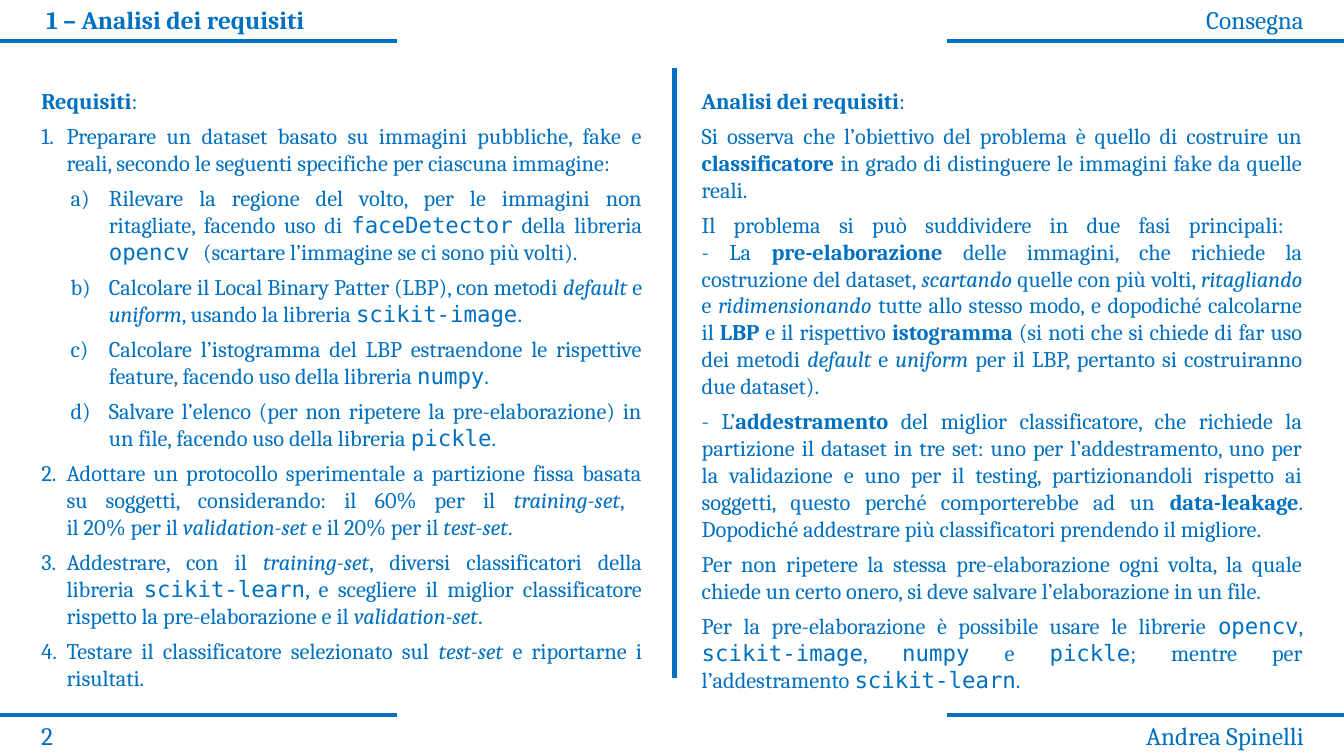
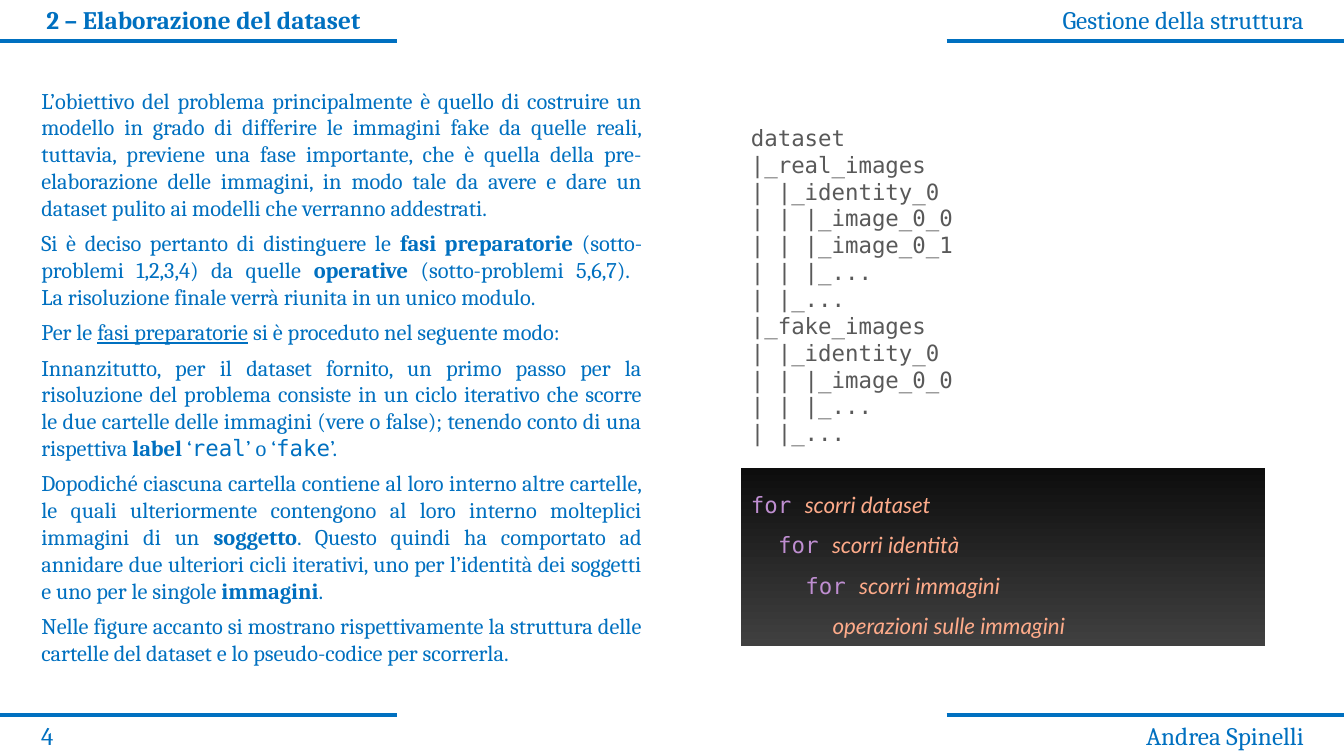
from dataclasses import dataclass, field

from lxml import etree
from pptx import Presentation
from pptx import util as u
from pptx.dml.color import RGBColor
from pptx.enum import shapes, text
from pptx.oxml import ns

EMU_PER_PX = 9144
SLIDE_WIDTH, SLIDE_HEIGHT = 1333, 750
MARGIN, COLUMN_WIDTH, RIGHT_COLUMN = 31, 616, 686
BAND_WIDTH, BAND_LINES = 394, (41, 709)
HEADER_TOP, FOOTER_TOP, LABEL_HEIGHT = -1, 710, 40
BODY_TOP, BODY_HEIGHT = 81, 616
FIGURE_LEFT, FIGURE_WIDTH, FIGURE_INSET = 735, 520, 10
CODE_INDENT = 27


@dataclass(frozen=True)
class Theme:
    """Colours, fonts, type sizes and inline text styles."""
    blue: str = "0070C0"
    grey: str = "595959"
    panel: tuple = ("0D0D0D", "404040")
    serif: str = "Cambria"
    mono: str = "DejaVu Sans Mono"
    label_size: int = 18
    body_size: int = 16
    line_width: int = 3
    space_after: int = 6
    marks: dict = field(default_factory=lambda: {
        "*": {"bold": True},
        "^": {"italic": True},
        "~": {"underline": True},
        "`": {"name": "DejaVu Sans Mono"},
        "@": {"name": "DejaVu Sans Mono", "color": "BF8ED1"},
        "#": {"name": "Lato", "color": "FEAB8A", "italic": True},
    })
    numbering: dict = field(default_factory=lambda: {
        "1": (0, 25, 25, "arabicPeriod"),
        "a": (1, 67, 38, "alphaLcParenR"),
    })


def px(length):
    """Turn px into EMU."""
    return u.Emu(length * EMU_PER_PX)


def pieces(markup, marks):
    """Split marked text into (words, mark) pairs."""
    words, mark = "", ""
    for letter in markup:
        if letter in marks:
            if words:
                yield words, mark
            words, mark = "", "" if mark == letter else letter
        else:
            words += letter
    if words:
        yield words, mark


class Deck:
    """Holds the theme and the current slide, and draws each kind of element."""

    def __init__(self, theme):
        self.theme = theme
        self.presentation = Presentation()
        self.presentation.slide_width = px(SLIDE_WIDTH)
        self.presentation.slide_height = px(SLIDE_HEIGHT)
        self.slide = None

    def new_slide(self, layout, title, topic, number):
        layouts = self.presentation.slide_layouts
        self.slide = self.presentation.slides.add_slide(layouts.get_by_name(layout))
        right_band = SLIDE_WIDTH - BAND_WIDTH
        for y in BAND_LINES:
            self.line(0, y, BAND_WIDTH, y)
            self.line(right_band, y, SLIDE_WIDTH, y)
        self.title(title)
        right_label = RIGHT_COLUMN + COLUMN_WIDTH - BAND_WIDTH + 1
        self.label(topic, right_label, HEADER_TOP, text.PP_ALIGN.RIGHT)
        self.label(number, MARGIN, FOOTER_TOP, text.PP_ALIGN.LEFT)
        self.label("Andrea Spinelli", right_label, FOOTER_TOP, text.PP_ALIGN.RIGHT)

    def line(self, x1, y1, x2, y2):
        line = self.slide.shapes.add_connector(
            shapes.MSO_CONNECTOR.STRAIGHT, px(x1), px(y1), px(x2), px(y2))
        line.line.color.rgb = RGBColor.from_string(self.theme.blue)
        line.line.width = u.Pt(self.theme.line_width)
        etree.SubElement(line._element.spPr, ns.qn("a:effectLst"))

    def place(self, shape, left, top, width, height):
        shape.left, shape.top = px(left), px(top)
        shape.width, shape.height = px(width), px(height)
        frame = shape.text_frame
        frame.word_wrap = True
        frame.auto_size = text.MSO_AUTO_SIZE.NONE
        frame.vertical_anchor = text.MSO_ANCHOR.TOP
        return frame

    def text_box(self, left, top, width, height):
        shape = self.slide.shapes.add_textbox(0, 0, 0, 0)
        return self.place(shape, left, top, width, height)

    def style(self, run, size, name=None, color=None, bold=False, italic=False,
              underline=False):
        font = run.font
        font.size = u.Pt(size)
        font.name = name or self.theme.serif
        font.color.rgb = RGBColor.from_string(color or self.theme.blue)
        font.bold, font.italic, font.underline = bold, italic, underline

    def plain(self, frame, words, size, align=text.PP_ALIGN.LEFT, **look):
        frame.text = words
        for paragraph in frame.paragraphs:
            paragraph.alignment = align
            for run in paragraph.runs:
                self.style(run, size, **look)

    def title(self, words):
        frame = self.place(self.slide.shapes.title, MARGIN + 5, HEADER_TOP,
                           BAND_WIDTH, LABEL_HEIGHT)
        self.plain(frame, words, self.theme.label_size, bold=True)

    def label(self, words, left, top, align):
        frame = self.text_box(left, top, BAND_WIDTH, LABEL_HEIGHT)
        self.plain(frame, words, self.theme.label_size, align)

    def rich(self, paragraph, markup):
        size = self.theme.body_size
        for index, row in enumerate(markup.split("\n")):
            if index:
                paragraph.add_line_break()
            for words, mark in pieces(row, self.theme.marks):
                run = paragraph.add_run()
                run.text = words
                self.style(run, size, **self.theme.marks.get(mark, {}))
        for line_break in paragraph._p.findall(ns.qn("a:br")):
            etree.SubElement(line_break, ns.qn("a:rPr"), sz=str(size * 100))

    def indent(self, paragraph, left, hanging=0):
        properties = paragraph._p.get_or_add_pPr()
        properties.set("marL", str(px(left)))
        properties.set("indent", str(px(-hanging)))
        return properties

    def rows(self, frame, count):
        for _ in range(count - 1):
            frame.add_paragraph()
        return frame.paragraphs

    def body(self, index, left, items):
        frame = self.place(self.slide.placeholders[index], left, BODY_TOP,
                           COLUMN_WIDTH, BODY_HEIGHT)
        for paragraph, (kind, markup) in zip(self.rows(frame, len(items)), items):
            level, margin, hanging, scheme = self.theme.numbering.get(kind, (0, 0, 0, None))
            paragraph.alignment = text.PP_ALIGN.JUSTIFY
            paragraph.level = level
            paragraph.space_before = u.Pt(0)
            paragraph.space_after = u.Pt(self.theme.space_after)
            properties = self.indent(paragraph, margin, hanging)
            if scheme:
                etree.SubElement(properties, ns.qn("a:buFont"), typeface=self.theme.serif)
                etree.SubElement(properties, ns.qn("a:buAutoNum"), type=scheme)
            else:
                etree.SubElement(properties, ns.qn("a:buNone"))
            self.rich(paragraph, markup)

    def inset(self, frame):
        frame.margin_left = frame.margin_right = px(FIGURE_INSET)
        frame.margin_top = frame.margin_bottom = px(FIGURE_INSET)

    def tree(self, top, height, words):
        frame = self.text_box(FIGURE_LEFT, top, FIGURE_WIDTH, height)
        self.inset(frame)
        self.plain(frame, words, self.theme.body_size, name=self.theme.mono,
                   color=self.theme.grey)

    def code_panel(self, top, height, lines):
        panel = self.slide.shapes.add_shape(shapes.MSO_SHAPE.RECTANGLE, 0, 0, 0, 0)
        panel.shadow.inherit = False
        panel.line.fill.background()
        panel.fill.gradient()
        panel.fill.gradient_angle = 270
        for stop, color in zip(panel.fill.gradient_stops, self.theme.panel):
            stop.color.rgb = RGBColor.from_string(color)
        frame = self.place(panel, FIGURE_LEFT, top, FIGURE_WIDTH, height)
        self.inset(frame)
        for depth, paragraph in enumerate(self.rows(frame, len(lines))):
            paragraph.alignment = text.PP_ALIGN.LEFT
            paragraph.line_spacing = 1.5
            self.indent(paragraph, depth * CODE_INDENT)
            self.rich(paragraph, lines[depth])


REQUIREMENTS = [
    ("", "*Requisiti*:"),
    ("1", "Preparare un dataset basato su immagini pubbliche, fake e reali, secondo le "
          "seguenti specifiche per ciascuna immagine:"),
    ("a", "Rilevare la regione del volto, per le immagini non ritagliate, facendo uso di "
          "`faceDetector` della libreria `opencv `(scartare l’immagine se ci sono più volti)."),
    ("a", "Calcolare il Local Binary Patter (LBP), con metodi ^default^ e ^uniform^, usando "
          "la libreria `scikit-image`."),
    ("a", "Calcolare l’istogramma del LBP estraendone le rispettive feature, facendo uso "
          "della libreria `numpy`."),
    ("a", "Salvare l’elenco (per non ripetere la pre-elaborazione) in un file, facendo uso "
          "della libreria `pickle`."),
    ("1", "Adottare un protocollo sperimentale a partizione fissa basata su soggetti, "
          "considerando: il 60% per il ^training-set^, \nil 20% per il ^validation-set ^e "
          "il 20% per il ^test-set^."),
    ("1", "Addestrare, con il ^training-set^, diversi classificatori della libreria "
          "`scikit-learn`, e scegliere il miglior classificatore rispetto la "
          "pre-elaborazione e il ^validation-set^."),
    ("1", "Testare il classificatore selezionato sul ^test-set ^e riportarne i risultati."),
]

ANALYSIS = [
    ("", "*Analisi dei requisiti*:"),
    ("", "Si osserva che l’obiettivo del problema è quello di costruire un *classificatore* "
         "in grado di distinguere le immagini fake da quelle reali."),
    ("", "Il problema si può suddividere in due fasi principali: \n- La *pre-elaborazione* "
         "delle immagini, che richiede la costruzione del dataset, ^scartando^ quelle con "
         "più volti, ^ritagliando^ e ^ridimensionando^ tutte allo stesso modo, e dopodiché "
         "calcolarne il *LBP* e il rispettivo *istogramma* (si noti che si chiede di far uso "
         "dei metodi ^default^ e ^uniform^ per il LBP, pertanto si costruiranno due dataset)."),
    ("", "- L’*addestramento* del miglior classificatore, che richiede la partizione il "
         "dataset in tre set: uno per l’addestramento, uno per la validazione e uno per il "
         "testing, partizionandoli rispetto ai soggetti, questo perché comporterebbe ad un "
         "*data-leakage*. Dopodiché addestrare più classificatori prendendo il migliore."),
    ("", "Per non ripetere la stessa pre-elaborazione ogni volta, la quale chiede un certo "
         "onero, si deve salvare l’elaborazione in un file."),
    ("", "Per la pre-elaborazione è possibile usare le librerie `opencv`, `scikit-image`, "
         "`numpy` e `pickle`; mentre per l’addestramento `scikit-learn`."),
]

PROCESSING = [
    ("", "L’obiettivo del problema principalmente è quello di costruire un modello in grado "
         "di differire le immagini fake da quelle reali, tuttavia, previene una fase "
         "importante, che è quella della pre-elaborazione delle immagini, in modo tale da "
         "avere e dare un dataset pulito ai modelli che verranno addestrati."),
    ("", "Si è deciso pertanto di distinguere le *fasi preparatorie *(sotto-problemi 1,2,3,4) "
         "da quelle *operative* (sotto-problemi 5,6,7). \nLa risoluzione finale verrà riunita "
         "in un unico modulo."),
    ("", "Per le ~fasi preparatorie~ si è proceduto nel seguente modo:"),
    ("", "Innanzitutto, per il dataset fornito, un primo passo per la risoluzione del "
         "problema consiste in un ciclo iterativo che scorre le due cartelle delle immagini "
         "(vere o false); tenendo conto di una rispettiva *label* ‘`real`’ o ‘`fake`’."),
    ("", "Dopodiché ciascuna cartella contiene al loro interno altre cartelle, le quali "
         "ulteriormente contengono al loro interno molteplici immagini di un *soggetto*. "
         "Questo quindi ha comportato ad annidare due ulteriori cicli iterativi, uno per "
         "l’identità dei soggetti e uno per le singole *immagini*."),
    ("", "Nelle figure accanto si mostrano rispettivamente la struttura delle cartelle del "
         "dataset e lo pseudo-codice per scorrerla."),
]

FOLDERS = """dataset
|_real_images
| |_identity_0
| | |_image_0_0
| | |_image_0_1
| | |_...
| |_...
|_fake_images
| |_identity_0
| | |_image_0_0
| | |_...
| |_..."""

LOOPS = ["@for @#scorri dataset#", "@for @#scorri identità#", "@for @#scorri immagini#",
         "#operazioni sulle immagini#"]


def main():
    """Build both slides and save them."""
    deck = Deck(Theme())

    deck.new_slide("Two Content", "1 – Analisi dei requisiti", "Consegna", "2")
    deck.body(1, MARGIN, REQUIREMENTS)
    deck.body(2, RIGHT_COLUMN, ANALYSIS)
    deck.line(669, 67, 669, 673)

    deck.new_slide("Title and Content", "2 – Elaborazione del dataset",
                   "Gestione della struttura", "4")
    deck.body(1, MARGIN, PROCESSING)
    deck.code_panel(464, 177, LOOPS)
    deck.tree(113, 343, FOLDERS)

    deck.presentation.save("out.pptx")


if __name__ == "__main__":
    main()
